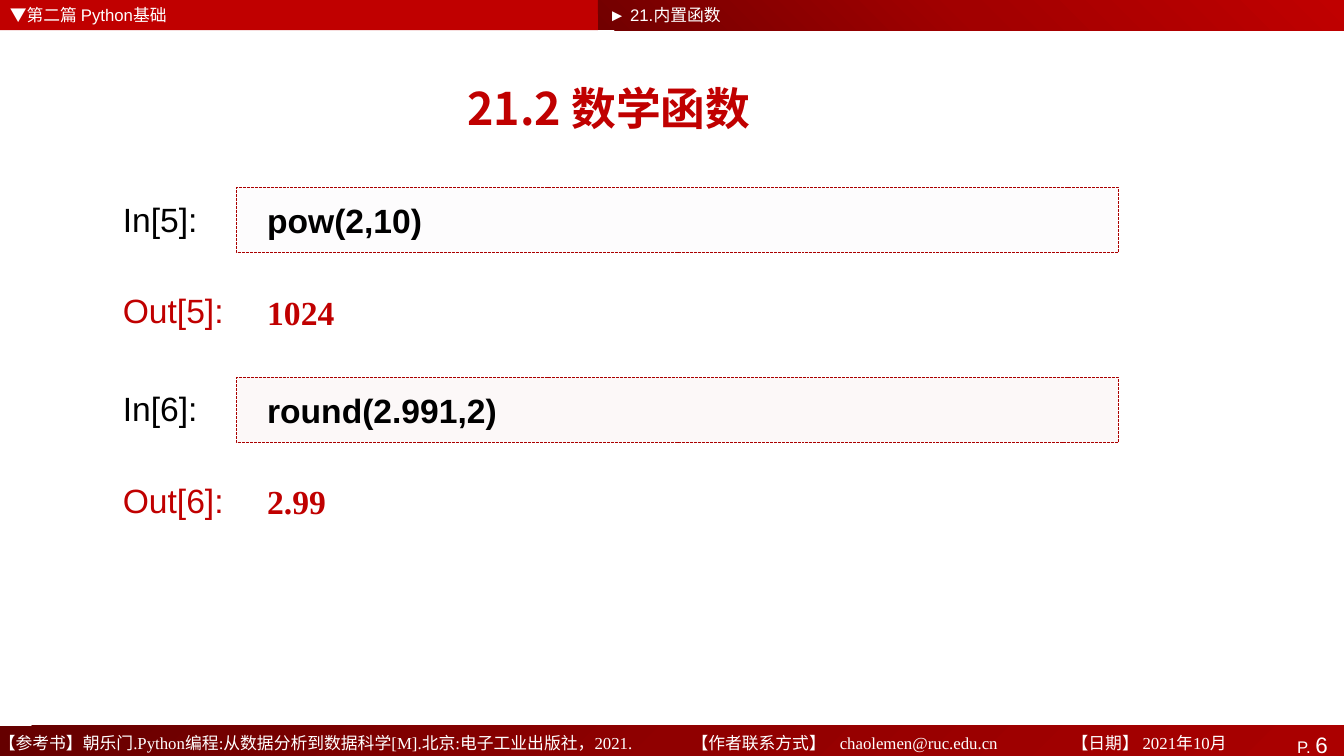
from dataclasses import dataclass

from lxml import etree
from pptx import Presentation
from pptx.dml.color import RGBColor
from pptx.enum import dml, shapes, text
from pptx.oxml import ns
from pptx.util import Inches, Pt

RED = RGBColor(0xC0, 0x00, 0x00)
BORDER_RED = RGBColor(0xAB, 0x00, 0x00)
WHITE = RGBColor(0xFF, 0xFF, 0xFF)
BLACK = RGBColor(0x00, 0x00, 0x00)
PALE_GREY = RGBColor(0xF1, 0xEE, 0xF4)
PALE_PINK = RGBColor(0xED, 0xCD, 0xCB)
HEADER_STOPS = (RGBColor(0x72, 0, 0), RGBColor(0xA2, 0, 0), RED)
FOOTER_STOPS = (RGBColor(0x65, 0, 0), RGBColor(0x90, 0, 0), BORDER_RED)

SANS, SERIF, CHINESE = "Arial", "Times New Roman", "Noto Sans CJK SC"
LABEL_LEFT, CODE_LEFT, CODE_WIDTH, ROW_HEIGHT = 1.12, 2.35, 8.74, 0.65
OUTPUT_OFFSET = 0.91


@dataclass(frozen=True)
class Cell:
    number: int
    top: float
    code: str
    result: str
    fill: RGBColor


CELLS = (
    Cell(5, 1.86, "pow(2,10)", "1024", PALE_GREY),
    Cell(6, 3.74, "round(2.991,2)", "2.99", PALE_PINK),
)


def style(paragraph, size: float, font: str, color: RGBColor, bold: bool = False) -> None:
    paragraph.font.size = Pt(size)
    paragraph.font.bold = bold
    paragraph.font.color.rgb = color
    paragraph.font.name = font
    properties = paragraph.font._element
    etree.SubElement(properties, ns.qn("a:ea"), typeface=CHINESE)


def add_bar(parent, left: float, top: float, width: float, height: float):
    bar = parent.add_shape(shapes.MSO_SHAPE.RECTANGLE, Inches(left), Inches(top),
                           Inches(width), Inches(height))
    bar.shadow.inherit = False
    bar.line.fill.background()
    return bar


def fill_gradient(shape, colors: tuple, angle: float) -> None:
    shape.fill.gradient()
    shape.fill.gradient_angle = angle
    stops = shape._element.spPr.find(".//" + ns.qn("a:gsLst"))
    for stop in list(stops):
        stops.remove(stop)
    for index, color in enumerate(colors):
        position = 100000 * index // (len(colors) - 1)
        stop = etree.SubElement(stops, ns.qn("a:gs"), pos=str(position))
        etree.SubElement(stop, ns.qn("a:srgbClr"), val=str(color))


def add_label(parent, left: float, top: float, width: float, height: float, words: str,
              size: float, font: str, color: RGBColor, bold: bool = False):
    box = parent.add_textbox(Inches(left), Inches(top), Inches(width), Inches(height))
    box.text_frame.word_wrap = True
    box.text_frame.text = words
    style(box.text_frame.paragraphs[0], size, font, color, bold)
    return box


def indent_row(frame) -> None:
    frame.word_wrap = True
    frame.margin_left = Inches(0.3)
    frame.vertical_anchor = text.MSO_ANCHOR.MIDDLE


def add_cell(slide, cell: Cell) -> None:
    parent = slide.shapes.add_group_shape().shapes

    # Input row
    add_label(parent, LABEL_LEFT, cell.top + 0.06, 1.11, 0.5, f"In[{cell.number}]:", 24, SANS, BLACK)
    box = add_bar(parent, CODE_LEFT, cell.top, CODE_WIDTH, ROW_HEIGHT)
    box.fill.solid()
    box.fill.fore_color.rgb = cell.fill
    color = box._element.spPr.find(".//" + ns.qn("a:srgbClr"))
    etree.SubElement(color, ns.qn("a:alpha"), val="13000")
    box.line.color.rgb = BORDER_RED
    box.line.width = Pt(0.7)
    box.line.dash_style = dml.MSO_LINE.SQUARE_DOT
    box.text_frame.text = cell.code
    box.text_frame.paragraphs[0].alignment = text.PP_ALIGN.LEFT
    style(box.text_frame.paragraphs[0], 24, SANS, BLACK, True)
    indent_row(box.text_frame)

    # Output row
    output_top = cell.top + OUTPUT_OFFSET
    add_label(parent, LABEL_LEFT, output_top + 0.06, 1.35, 0.5, f"Out[{cell.number}]:", 24, SANS, RED)
    result = add_label(parent, CODE_LEFT, output_top, CODE_WIDTH, ROW_HEIGHT,
                       cell.result, 24, SERIF, RED, True)
    indent_row(result.text_frame)


def add_header(slide) -> None:
    chapter_bar = add_bar(slide.shapes, 0, 0, 5.93, 0.3)
    chapter_bar.fill.solid()
    chapter_bar.fill.fore_color.rgb = RED
    section_bar = add_bar(slide.shapes, 5.93, 0, 7.4, 0.3)
    fill_gradient(section_bar, HEADER_STOPS, 45)
    add_label(slide.shapes, 0, 0, 4.83, 0.29, "▼第二篇 Python基础", 12, SANS, WHITE)
    add_label(slide.shapes, 5.94, 0, 2.38, 0.29, "► 21.内置函数", 12, SANS, WHITE)


def add_footer(slide) -> None:
    bar = add_bar(slide.shapes, 0, 7.2, 13.33, 0.37)
    fill_gradient(bar, FOOTER_STOPS, 315)
    frame = bar.text_frame
    frame.vertical_anchor = text.MSO_ANCHOR.TOP
    frame.margin_right = Inches(0.16)
    paragraph = frame.paragraphs[0]
    paragraph.alignment = text.PP_ALIGN.RIGHT
    for words, size in (("P. ", 12), ("6", 16)):
        run = paragraph.add_run()
        run.text = words
        run.font.size = Pt(size)
        run.font.name = SANS
        run.font.color.rgb = WHITE

    # Reference, contact and date, set apart by tab stops
    box = slide.shapes.add_textbox(Inches(-0.11), Inches(7.22), Inches(12.65), Inches(0.35))
    box.text_frame.word_wrap = True
    paragraph = box.text_frame.paragraphs[0]
    paragraph.text = ("【参考书】朝乐门.Python编程:从数据分析到数据科学[M].北京:电子工业出版社，2021."
                      "\t【作者联系方式】\tchaolemen@ruc.edu.cn\t【日期】 2021年10月")
    tabs = etree.SubElement(paragraph._p.get_or_add_pPr(), ns.qn("a:tabLst"))
    for position in (6.87, 8.34, 10.64):
        etree.SubElement(tabs, ns.qn("a:tab"), pos=str(Inches(position)), algn="l")
    style(paragraph, 12, SERIF, WHITE)


def add_title(slide) -> None:
    title = slide.shapes.title
    title.left, title.top = Inches(0.68), Inches(0.62)
    title.width, title.height = Inches(10.72), Inches(0.9)
    title.text_frame.text = "21.2 数学函数"
    title.text_frame.vertical_anchor = text.MSO_ANCHOR.MIDDLE
    paragraph = title.text_frame.paragraphs[0]
    paragraph.alignment = text.PP_ALIGN.CENTER
    style(paragraph, 32, CHINESE, RED, True)


def main() -> None:
    presentation = Presentation()
    presentation.slide_width, presentation.slide_height = Inches(13.33), Inches(7.5)
    slide = presentation.slides.add_slide(presentation.slide_layouts.get_by_name("Title Only"))
    add_header(slide)
    add_footer(slide)
    add_title(slide)
    for cell in CELLS:
        add_cell(slide, cell)
    presentation.save("out.pptx")


if __name__ == "__main__":
    main()
